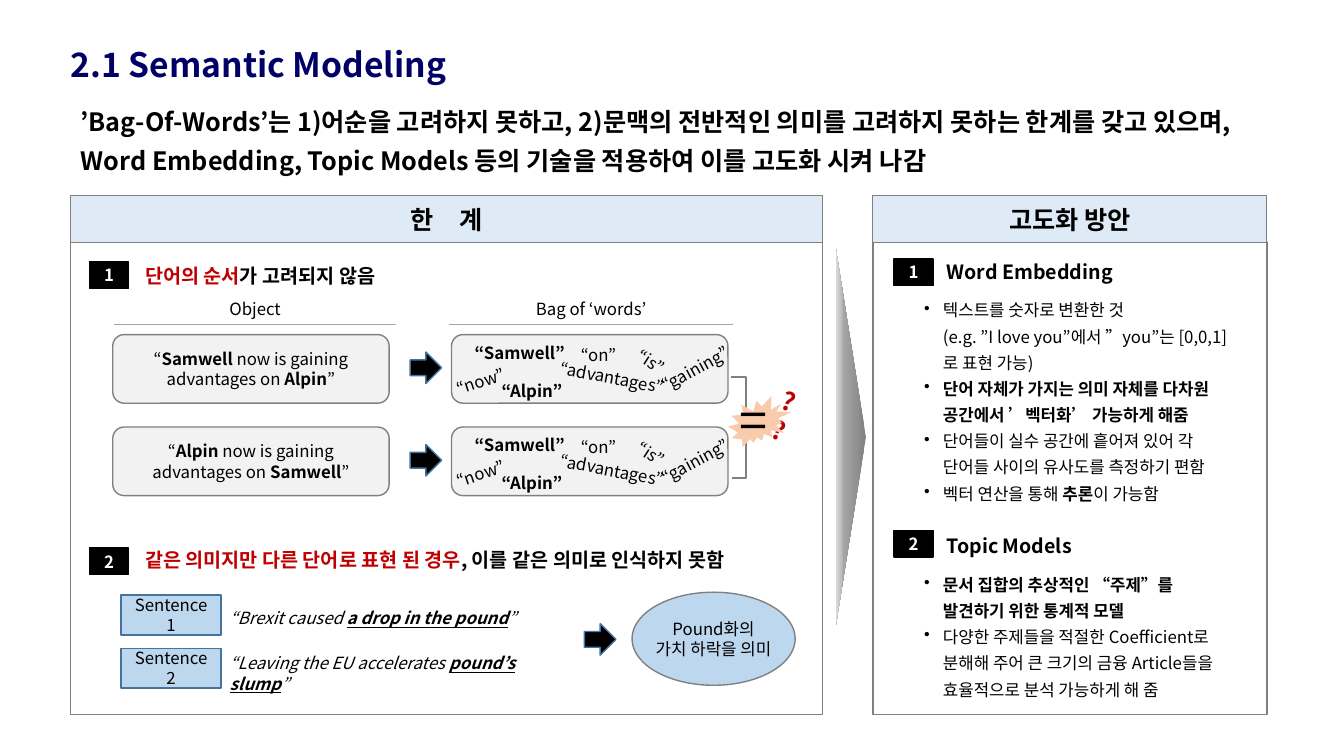
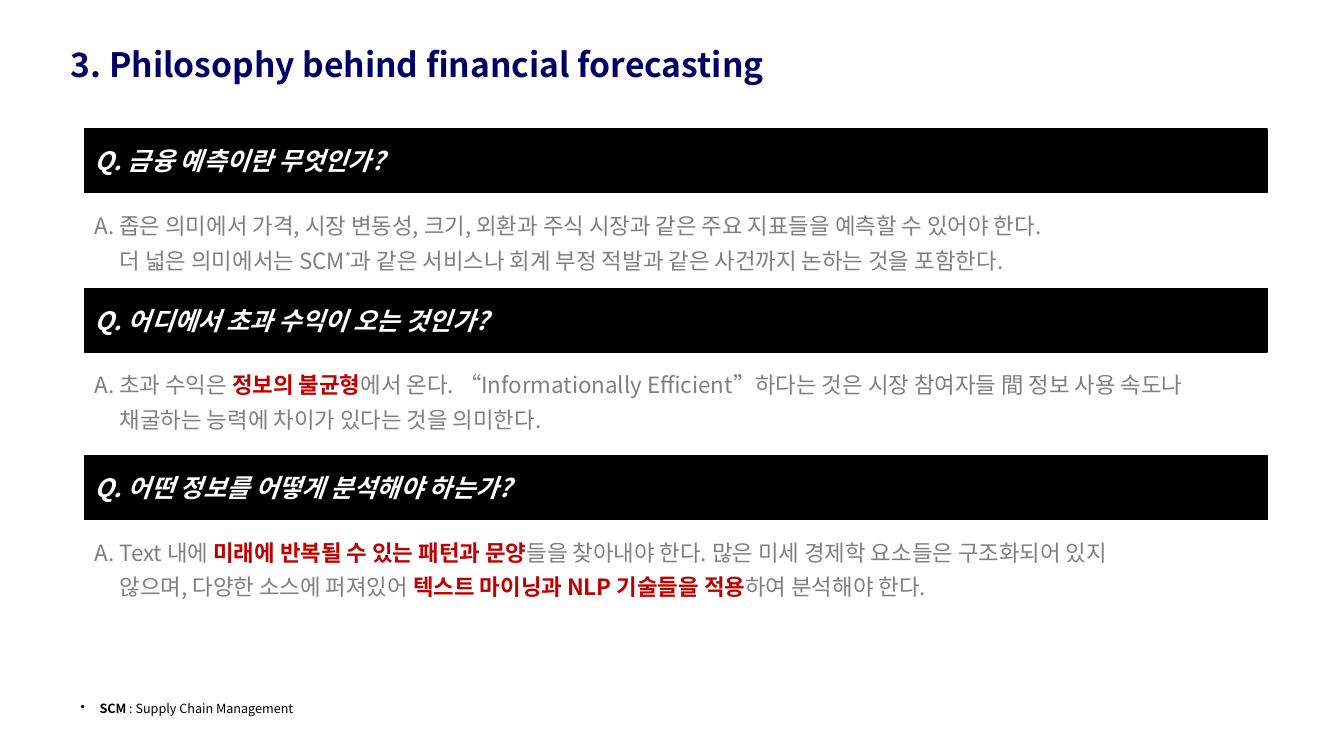
from lxml import etree
from pptx import Presentation
from pptx.dml.color import RGBColor
from pptx.enum.shapes import MSO_CONNECTOR, MSO_SHAPE
from pptx.enum.text import MSO_ANCHOR, MSO_AUTO_SIZE, PP_ALIGN
from pptx.oxml.ns import qn
from pptx.util import Pt

RECT, ROUND, OVAL = MSO_SHAPE.RECTANGLE, MSO_SHAPE.ROUNDED_RECTANGLE, MSO_SHAPE.OVAL
ARROW, TRIANGLE, BURST = MSO_SHAPE.RIGHT_ARROW, MSO_SHAPE.ISOSCELES_TRIANGLE, MSO_SHAPE.EXPLOSION2
STRAIGHT, ELBOW = MSO_CONNECTOR.STRAIGHT, MSO_CONNECTOR.ELBOW
LEFT, CENTER = PP_ALIGN.LEFT, PP_ALIGN.CENTER
TOP, MIDDLE = MSO_ANCHOR.TOP, MSO_ANCHOR.MIDDLE
GROW, FIXED = MSO_AUTO_SIZE.SHAPE_TO_FIT_TEXT, MSO_AUTO_SIZE.NONE

COLORS = {
    "navy": "000066", "black": "000000", "white": "FFFFFF", "red": "C00000",
    "gray": "808080", "rule": "A6A6A6", "panel": "F2F2F2", "header": "DEEBF7",
    "blue": "BDD7EE", "edge": "43739E", "peach": "F8CBAD",
}
FADE = [(0, "808080"), (74, "A6A6A6"), (82, "BFBFBF"), (100, "D9D9D9")]
FONT = "Noto Sans CJK KR"
BASE = {"name": FONT, "size": Pt(12), "bold": False, "color": "black"}
HEADING = {"size": Pt(14), "bold": True}
BOLD, RED = {"bold": True}, {"color": "red", "bold": True}
QUOTE = {"bold": True, "underline": True}
XML_ATTRS = ("baseline", "spc")


def rgb(name):
    return RGBColor.from_string(COLORS[name])


class Deck:
    def __init__(self):
        self.prs = Presentation()
        self.prs.slide_width, self.prs.slide_height = Pt(960), Pt(540)
        self.s = None

    # Text
    def style(self, r, fmt):
        rPr = r._r.get_or_add_rPr()
        for key, value in fmt.items():
            if key == "color":
                r.font.color.rgb = rgb(value)
            elif key in XML_ATTRS:
                rPr.set(key, str(value))
            else:
                setattr(r.font, key, value)
        etree.SubElement(rPr, qn("a:ea"), typeface=FONT)

    def put_text(self, tf, paras, align=LEFT, spacing=None, hang=0, bullet=None, **fmt):
        """A paragraph is a list of runs; a run is a string or (string, format)."""
        fmt = {**BASE, **fmt}
        for i, runs in enumerate(paras):
            p = tf.paragraphs[0] if i == 0 else tf.add_paragraph()
            p.alignment = align
            if spacing:
                p.line_spacing = spacing
            pPr = p._p.get_or_add_pPr()
            if hang:
                pPr.set("marL", str(Pt(hang)))
                pPr.set("indent", str(-Pt(hang)))
            if bullet:
                etree.SubElement(pPr, qn("a:buChar"), char=bullet)
            for run in runs:
                text, extra = (run, {}) if isinstance(run, str) else run
                for n, line in enumerate(text.split("\n")):
                    if n:
                        p.add_line_break()
                        size = str(int(fmt["size"].pt * 100))
                        etree.SubElement(p._p[-1], qn("a:rPr"), sz=size)
                    r = p.add_run()
                    r.text = line
                    self.style(r, {**fmt, **extra})

    def text(self, box, paras, rotation=0, **fmt):
        sp = self.s.shapes.add_textbox(*map(Pt, box))
        sp.rotation = rotation
        sp.text_frame.word_wrap = True
        sp.text_frame.auto_size = GROW
        self.put_text(sp.text_frame, paras, **fmt)

    # Slide with its title
    def slide(self, title):
        self.s = self.prs.slides.add_slide(self.prs.slide_layouts[5])
        sp = self.s.shapes.title
        sp.left, sp.top, sp.width, sp.height = map(Pt, (50.5, 31, 731.5, 22.5))
        tf = sp.text_frame
        frame = {"vertical_anchor": TOP, "auto_size": FIXED, "word_wrap": True,
                 "margin_left": 0, "margin_top": 0, "margin_right": 0, "margin_bottom": 0}
        for key, value in frame.items():
            setattr(tf, key, value)
        self.put_text(tf, [[title]], size=Pt(24), bold=True, color="navy")

    # Shapes and lines
    def shape(self, kind, box, fill=None, line=None, width=1, paras=(), wrap=True,
              align=CENTER, **fmt):
        sp = self.s.shapes.add_shape(kind, *map(Pt, box))
        sp.shadow.inherit = False
        if fill:
            sp.fill.solid()
            sp.fill.fore_color.rgb = rgb(fill)
        else:
            sp.fill.background()
        if line:
            sp.line.color.rgb = rgb(line)
            sp.line.width = Pt(width)
        else:
            sp.line.fill.background()
        tf = sp.text_frame
        tf.word_wrap, tf.vertical_anchor = wrap, MIDDLE
        self.put_text(tf, paras, align=align, **fmt)
        return sp

    def line(self, kind, ends, color, width):
        c = self.s.shapes.add_connector(kind, *map(Pt, ends))
        c.line.color.rgb = rgb(color)
        c.line.width = Pt(width)
        etree.SubElement(c._element.spPr, qn("a:effectLst"))
        return c

    def bracket(self, ends, reach):
        c = self.line(ELBOW, ends, "gray", 1.5)
        avLst = c._element.spPr.find(qn("a:prstGeom")).find(qn("a:avLst"))
        ratio = reach / (ends[2] - ends[0])
        etree.SubElement(avLst, qn("a:gd"), name="adj1", fmla=f"val {int(ratio * 100000)}")

    def fading_triangle(self, box):
        sp = self.shape(TRIANGLE, box)
        sp.rotation = 90
        sp.fill.gradient()
        sp.fill.gradient_angle = 270
        stops = sp._element.spPr.find(qn("a:gradFill")).find(qn("a:gsLst"))
        for gs in list(stops):
            stops.remove(gs)
        for pos, color in FADE:
            gs = etree.SubElement(stops, qn("a:gs"), pos=str(pos * 1000))
            etree.SubElement(gs, qn("a:srgbClr"), val=color)

    # Composed elements
    def panel(self, x, w, header):
        self.shape(RECT, (x, 173, w, 337.5), None, "gray")
        self.shape(RECT, (x, 140, w, 33), "header", "gray", 0.75, [header],
                   size=Pt(18), bold=True)

    def section(self, number, x, y, heading_x, heading_y, runs, w=480):
        self.shape(RECT, (x, y, 28, 19), "black", "black", 1, [[number]],
                   bold=True, color="white")
        self.text((heading_x, heading_y, w, 24.5), [runs], **HEADING)

    def bullets(self, box, paras):
        self.text(box, paras, spacing=1.3, hang=13.5, bullet="•")

    def arrow(self, x, y):
        self.shape(ARROW, (x, y, 22.5, 22.5), "black", "edge")


def modeling_slide(d):
    d.slide("2.1 Semantic Modeling")
    d.text((50.5, 66, 854.5, 59),
           [["’Bag-Of-Words’는 1)어순을 고려하지 못하고, 2)문맥의 전반적인 의미를 고려하지 못하는 한계를 "
             "갖고 있으며, Word Embedding, Topic Models 등의 기술을 적용하여 이를 고도화 시켜 나감"]],
           spacing=1.3, size=Pt(18), bold=True)

    # Panels
    d.panel(50.5, 537, ["한", (" ", {"spc": 1500}), "계"])
    d.panel(623.5, 281.5, ["고도화 방안"])
    d.fading_triangle((473, 301.5, 269.5, 21.5))

    # Limit 1: word order
    d.section("1", 64, 187, 96.5, 185, [("단어의 순서", RED), "가 고려되지 않음"])
    for x, w, label in ((81.5, 201.5, "Object"), (321, 202.5, "Bag of ‘words’")):
        d.text((x, 210, w, 22), [[label]], align=CENTER)
        d.line(STRAIGHT, (x, 232, x + w, 232), "rule", 0.5)
    bag = [  # left, top within the row, width, rotation, word, bold
        (325.5, 2, 91.5, 0, "Samwell", True), (338.5, 29.5, 83, 0, "Alpin", True),
        (317.5, 22.5, 52, 341.8, "now", False), (439, 8.5, 52, 32.7, "is", False),
        (448.5, 13.5, 96.5, 331.4, "gaining", False),
        (384, 20, 106.5, 10.8, "advantages", False), (407, 3.5, 41, 0, "on", False),
    ]
    for y, first, second in ((239, "Samwell", "Alpin"), (305, "Alpin", "Samwell")):
        d.shape(ROUND, (80.5, y, 197.5, 49), "panel", "gray", 1,
                [["“", (first, BOLD), " now is gaining advantages on ", (second, BOLD), "”"]])
        d.arrow(293, y + 12.5)
        d.shape(ROUND, (322.5, y, 197.5, 49), "panel", "gray")
        for x, dy, w, rotation, word, bold in bag:
            d.text((x, y + dy, w, 22), [[f"“{word}”"]], rotation, align=CENTER, bold=bold)
    d.text((552, 273, 28, 29), [["??"]], 19.5, size=Pt(18), bold=True, color="red")
    d.bracket((522, 269.5, 523, 341.5), 11)
    d.shape(BURST, (520, 283, 45.5, 36.5), "peach")
    d.text((521.5, 274.5, 28, 51), [["="]], size=Pt(36))

    # Limit 2: same meaning, different words
    d.section("2", 64, 391.5, 96.5, 387.5,
              [("같은 의미지만 다른 단어로 표현 된 경우", RED), ", 이를 같은 의미로 인식하지 못함"])
    sentences = [("Sentence1", 425, 430.5, "“Brexit caused ", "a drop in the pound"),
                 ("Sentence2", 463, 463, "“Leaving the EU accelerates ", "pound’s slump")]
    for label, y, text_y, start, key in sentences:
        d.shape(RECT, (86.5, y, 71.5, 28.5), "blue", "edge", 1, [[label]])
        d.text((157, text_y, 257, 22), [[start, (key, QUOTE), "”"]], italic=True)
    d.arrow(417.5, 445.5)
    d.shape(OVAL, (451.5, 423, 116.5, 66.5), "blue", "gray", 1,
            [["Pound화의"], ["가치 하락을 의미"]], wrap=False)

    # Improvements
    d.section("1", 638.5, 185, 669, 182, ["Word Embedding"], 235)
    d.bullets((653, 206.5, 238.5, 158.5), [
        ["텍스트를 숫자로 변환한 것\n(e.g. ”I love you”에서 ”you”는 [0,0,1]로 표현 가능)"],
        [("단어 자체가 가지는 의미 자체를 다차원 공간에서 ’벡터화’ 가능하게 해줌", BOLD)],
        ["단어들이 실수 공간에 흩어져 있어 각 단어들 사이의 유사도를 측정하기 편함"],
        ["벡터 연산을 통해 ", ("추론", BOLD), "이 가능함"],
    ])
    d.section("2", 638.5, 379, 669, 378, ["Topic Models"], 235)
    d.bullets((653, 402.5, 235.5, 101.5), [
        [("문서 집합의 추상적인 “주제”를 발견하기 위한 통계적 모델", BOLD)],
        ["다양한 주제들을 적절한 Coefficient로 분해해 주어 큰 크기의 금융 Article들을 "
         "효율적으로 분석 가능하게 해 줌"],
    ])


def philosophy_slide(d):
    d.slide("3. Philosophy behind financial forecasting")

    # Questions and answers
    dialogue = [
        (92, "Q. 금융 예측이란 무엇인가?",
         ["A. 좁은 의미에서 가격, 시장 변동성, 크기, 외환과 주식 시장과 같은 주요 지표들을 예측할 수 있어야 한다.\n"
          "더 넓은 의미에서는 SCM", ("*", {"baseline": 30000}),
          "과 같은 서비스나 회계 부정 적발과 같은 사건까지 논하는 것을 포함한다."]),
        (206, "Q. 어디에서 초과 수익이 오는 것인가?",
         ["A. 초과 수익은 ", ("정보의 불균형", RED),
          "에서 온다. “Informationally Efficient”하다는 것은 시장 참여자들 間 정보 사용 속도나\n"
          "채굴하는 능력에 차이가 있다는 것을 의미한다."]),
        (325.5, "Q. 어떤 정보를 어떻게 분석해야 하는가?",
         ["A. Text 내에 ", ("미래에 반복될 수 있는 패턴과 문양", RED),
          "들을 찾아내야 한다. 많은 미세 경제학 요소들은 구조화되어 있지\n않으며, 다양한 소스에 퍼져있어 ",
          ("텍스트 마이닝과 NLP 기술들을 적용", RED), "하여 분석해야 한다."]),
    ]
    for y, question, answer in dialogue:
        d.shape(RECT, (60.5, y, 844.5, 45.5), "black", "black", 1, [[question]],
                align=LEFT, size=Pt(18), bold=True, italic=True, color="white")
        d.text((60.5, y + 50, 844.5, 57.5), [answer], spacing=1.3, hang=18,
               size=Pt(16), color="gray")

    # Footnote
    d.text((50.5, 497, 793.5, 18), [[("SCM", BOLD), " : Supply Chain Management"]],
           hang=13.5, bullet="•", size=Pt(9))


def main():
    d = Deck()
    modeling_slide(d)
    philosophy_slide(d)
    d.prs.save("out.pptx")


if __name__ == "__main__":
    main()
